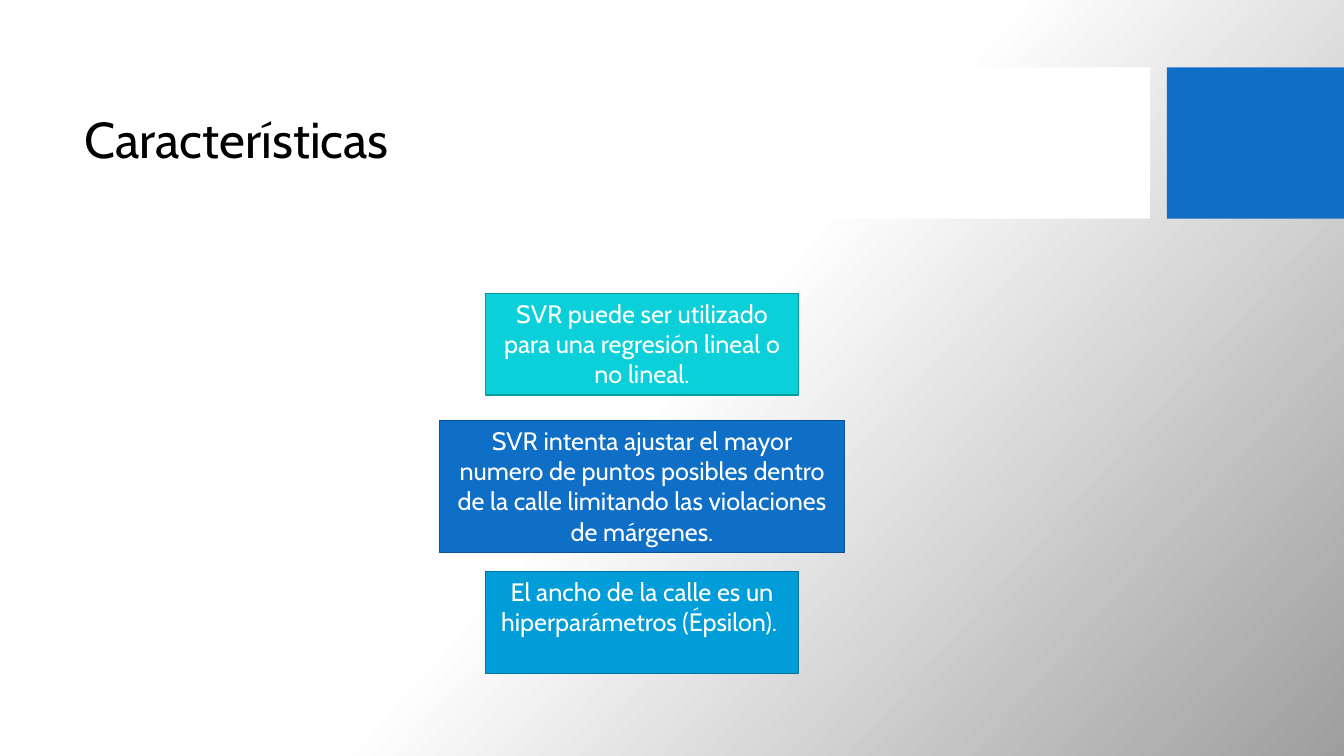
from copy import deepcopy
from dataclasses import dataclass

from pptx import Presentation
from pptx.dml.color import RGBColor
from pptx.enum.shapes import MSO_SHAPE
from pptx.enum.text import MSO_ANCHOR, MSO_AUTO_SIZE, PP_ALIGN
from pptx.oxml.ns import qn
from pptx.util import Cm, Pt

# Content
TITLE = "Características"
# text, top, width, height (cm), fill, line
CARDS = [
    ("SVR puede ser utilizado para una regresión lineal o no lineal.",
     7.39, 7.9, 2.57, "0BD0D9", "089AA1"),
    ("SVR intenta ajustar el mayor numero de puntos posibles dentro de la "
     "calle limitando las violaciones de márgenes.",
     10.59, 10.21, 3.33, "0F6FC6", "0B5292"),
    ("El ancho de la calle es un hiperparámetros (Épsilon). ",
     14.4, 7.9, 2.57, "009DD9", "0074A1"),
]
# left, width (cm), fill
BANDS = [(0, 28.98, "FFFFFF"), (29.41, 4.46, "0F6FC6")]


@dataclass(frozen=True)
class Theme:
    font: str = "Cabin"
    title_size: int = 36
    card_size: int = 18
    title_color: str = "000000"
    card_color: str = "FFFFFF"
    gradient: tuple = ((0, "FFFFFF"), (0.5, "FFFFFF"), (1, "9E9E9E"))
    gradient_angle: int = 42


THEME = Theme()
SLIDE_W, SLIDE_H = 33.87, 19.05
BAND_TOP, BAND_H = 1.7, 3.81
CARD_CENTER = 16.18


def add_box(slide, left, top, width, height, fill, line=None):
    sp = slide.shapes.add_shape(MSO_SHAPE.RECTANGLE, Cm(left), Cm(top),
                                Cm(width), Cm(height))
    sp.shadow.inherit = False
    sp.fill.solid()
    sp.fill.fore_color.rgb = RGBColor.from_string(fill)
    if line:
        sp.line.color.rgb = RGBColor.from_string(line)
        sp.line.width = Pt(1)
    else:
        sp.line.fill.background()
    return sp


def style(p, size, color, align):
    p.alignment = align
    p.font.name = THEME.font
    p.font.size = Pt(size)
    p.font.color.rgb = RGBColor.from_string(color)


def paint_background(slide):
    fill = slide.background.fill
    fill.gradient()
    fill.gradient_angle = 360 - THEME.gradient_angle  # counter-clockwise
    stops = slide.element.find(".//" + qn("a:gsLst"))
    stops.append(deepcopy(stops[-1]))
    for stop, (position, color) in zip(fill.gradient_stops, THEME.gradient):
        stop.position = position
        stop.color.rgb = RGBColor.from_string(color)


def main():
    prs = Presentation()
    prs.slide_width, prs.slide_height = Cm(SLIDE_W), Cm(SLIDE_H)
    slide = prs.slides.add_slide(prs.slide_layouts[5])
    paint_background(slide)

    # Title bands
    for left, width, fill in BANDS:
        add_box(slide, left, BAND_TOP, width, BAND_H, fill)

    # Title, brought in front of the bands
    title = slide.shapes.title
    title.element.getparent().append(title.element)
    title.left, title.top = Cm(1.88), Cm(2.08)
    title.width, title.height = Cm(26.7), Cm(3)
    tf = title.text_frame
    tf.text = TITLE
    tf.vertical_anchor = MSO_ANCHOR.MIDDLE
    p = tf.paragraphs[0]
    p.line_spacing = 0.9
    style(p, THEME.title_size, THEME.title_color, PP_ALIGN.LEFT)

    # Cards on a common centre line
    for text, top, width, height, fill, line in CARDS:
        sp = add_box(slide, CARD_CENTER - width / 2, top, width, height,
                     fill, line)
        tf = sp.text_frame
        tf.text = text
        tf.word_wrap = True
        tf.auto_size = MSO_AUTO_SIZE.SHAPE_TO_FIT_TEXT
        tf.vertical_anchor = MSO_ANCHOR.TOP
        style(tf.paragraphs[0], THEME.card_size, THEME.card_color,
              PP_ALIGN.CENTER)

    prs.save("out.pptx")


if __name__ == "__main__":
    main()
